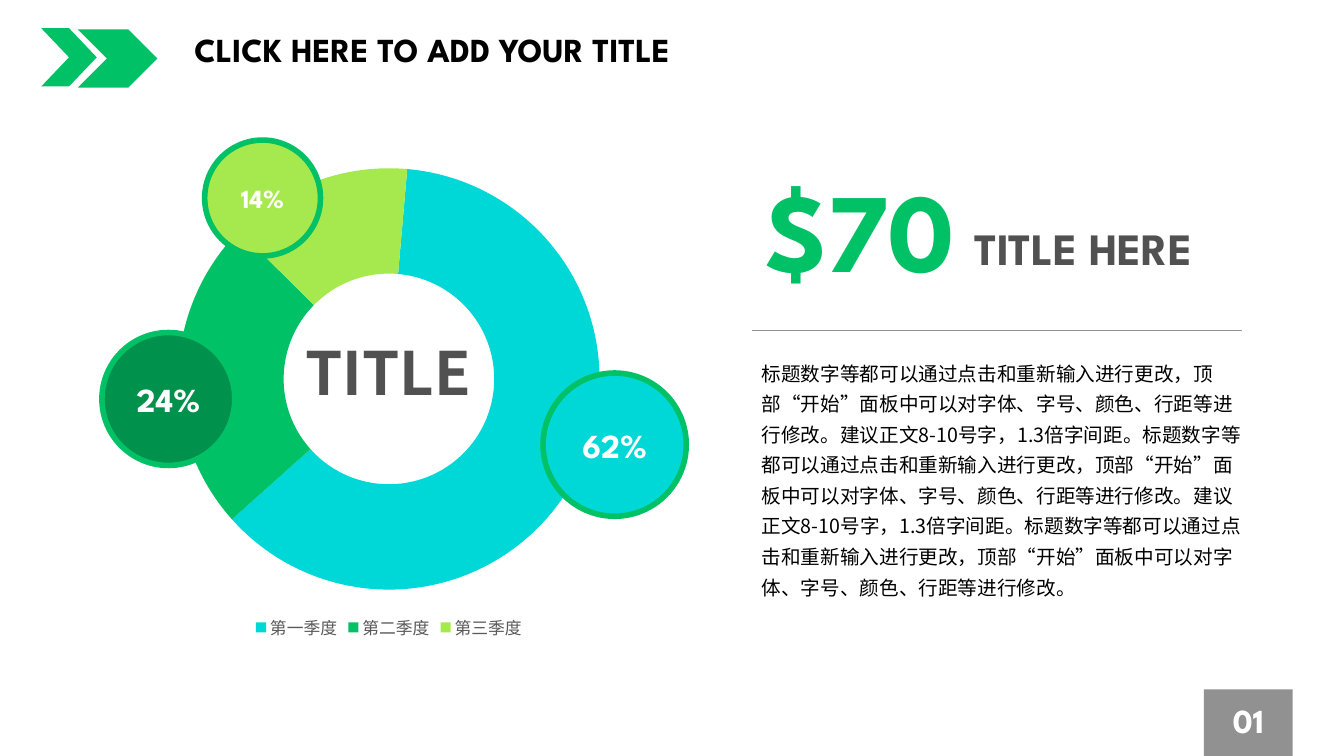
from lxml import etree
from pptx import Presentation
from pptx.chart.data import CategoryChartData
from pptx.dml.color import RGBColor
from pptx.enum.chart import XL_CHART_TYPE as ChartType, XL_LEGEND_POSITION as LegendPosition
from pptx.enum.lang import MSO_LANGUAGE_ID as Language
from pptx.enum.shapes import MSO_CONNECTOR as Connector, MSO_SHAPE as Shape
from pptx.enum.text import MSO_ANCHOR as Anchor, PP_ALIGN as Align
from pptx.oxml.ns import qn
from pptx.util import Cm, Pt

LATIN, CHINESE = "League Spartan", "Noto Sans CJK SC"
GREEN, CYAN, LIME, DARK_GREEN = "00C165", "00D7D7", "A6E94E", "00914C"
GREY, DARK_GREY, WHITE, BLACK = "919191", "515151", "FFFFFF", "000000"

# name, value, slice colour
QUARTERS = [("第一季度", 62, CYAN), ("第二季度", 24, GREEN), ("第三季度", 14, LIME)]
# text, left, top, diameter, fill, text size
BADGES = [
    ("62%", 13.69, 9.4, 3.61, CYAN, 24),
    ("24%", 2.57, 8.38, 3.35, DARK_GREEN, 24),
    ("14%", 5.16, 3.53, 2.92, LIME, 18.7),
]
# left, top, width, height
CHEVRONS = [(1.04, 0.71, 1.4, 1.47), (1.96, 0.74, 2.01, 1.47)]
ADVICE = (
    "标题数字等都可以通过点击和重新输入进行更改，"
    "顶部“开始”面板中可以对字体、字号、颜色、行距等进行修改。"
)
SPACING_ADVICE = "建议正文8-10号字，1.3倍字间距。"
BODY = (ADVICE + SPACING_ADVICE) * 2 + ADVICE
# text, box, size, colour, font, bold, alignment, anchor, line spacing
TEXTS = [
    ("CLICK HERE TO ADD YOUR TITLE", (4.65, 0.71, 13.51, 1.47), 24, BLACK, LATIN, True,
     Align.LEFT, Anchor.TOP, 0.9),
    ("TITLE", (6.96, 8.33, 5.66, 2.08), 42.7, DARK_GREY, CHINESE, True,
     Align.CENTER, Anchor.TOP, 1),
    ("$70", (18.36, 3.91, 5.97, 3.68), 80, GREEN, LATIN, True,
     Align.RIGHT, Anchor.MIDDLE, 1),
    ("TITLE HERE", (24.31, 5.44, 7.34, 1.63), 32, DARK_GREY, LATIN, True,
     Align.LEFT, Anchor.TOP, 1),
    (BODY, (18.95, 8.81, 12.7, 6.4), 14, BLACK, CHINESE, False,
     Align.LEFT, Anchor.TOP, 1.3),
]


def color(hex_string):
    return RGBColor.from_string(hex_string)


def lengths(box):
    return [Cm(value) for value in box]


def write(shape, text, size, text_color, font=LATIN, bold=True,
          align=Align.CENTER, anchor=Anchor.MIDDLE, spacing=1):
    frame = shape.text_frame
    frame.word_wrap = True
    frame.vertical_anchor = anchor
    paragraph = frame.paragraphs[0]
    paragraph.alignment = align
    paragraph.line_spacing = spacing
    run = paragraph.add_run()
    run.text = text
    run.font.size = Pt(size)
    run.font.bold = bold
    run.font.color.rgb = color(text_color)
    run.font.name = font
    if font == CHINESE:
        run.font.language_id = Language.SIMPLIFIED_CHINESE
        east_asian = etree.SubElement(run.font._element, qn("a:ea"))
        east_asian.set("typeface", font)


def add_filled(slide, kind, box, fill, line=None):
    shape = slide.shapes.add_shape(kind, *lengths(box))
    shape.shadow.inherit = False
    shape.fill.solid()
    shape.fill.fore_color.rgb = color(fill)
    if line:
        shape.line.color.rgb = color(line)
        shape.line.width = Pt(4)
    else:
        shape.line.fill.background()
    return shape


def add_doughnut(slide, box):
    data = CategoryChartData()
    data.categories = [name for name, _, _ in QUARTERS]
    data.add_series("Series 1", [value for _, value, _ in QUARTERS])
    chart = slide.shapes.add_chart(ChartType.DOUGHNUT, *lengths(box), data).chart
    chart.has_title = False
    chart.font.size = Pt(10)
    chart.font.name = LATIN
    chart.font.color.rgb = color(BLACK)
    chart.has_legend = True
    legend = chart.legend
    legend.position = LegendPosition.BOTTOM
    legend.include_in_layout = False
    legend.font.size = Pt(12)
    legend.font.name = CHINESE
    legend.font.color.rgb = color("595959")
    plot = chart.plots[0]
    plot.vary_by_categories = True
    for index, (_, _, fill) in enumerate(QUARTERS):
        point_format = plot.series[0].points[index].format
        point_format.fill.solid()
        point_format.fill.fore_color.rgb = color(fill)
        point_format.line.fill.background()
    for tag, value in (("c:firstSliceAng", "5"), ("c:holeSize", "64")):
        chart._chartSpace.find(".//" + qn(tag)).set("val", value)


def main():
    presentation = Presentation()
    presentation.slide_width, presentation.slide_height = Cm(33.88), Cm(19.05)
    slide = presentation.slides.add_slide(presentation.slide_layouts[6])

    for box in CHEVRONS:
        add_filled(slide, Shape.CHEVRON, box, GREEN)
    page_number = add_filled(slide, Shape.RECTANGLE, (30.35, 17.37, 2.24, 1.68), GREY)
    write(page_number, "01", 24, WHITE, spacing=0.9)

    add_doughnut(slide, (0, 3.89, 19.61, 12.34))
    for text, left, top, diameter, fill, size in BADGES:
        badge = add_filled(slide, Shape.OVAL, (left, top, diameter, diameter), fill, GREEN)
        write(badge, text, size, WHITE)

    for text, box, *style in TEXTS:
        write(slide.shapes.add_textbox(*lengths(box)), text, *style)

    divider = slide.shapes.add_connector(
        Connector.STRAIGHT, *lengths((18.95, 8.33, 31.32, 8.33)))
    divider.line.color.rgb = color(GREY)
    divider.line.width = Pt(1.25)
    etree.SubElement(divider._element.spPr, qn("a:effectLst"))

    presentation.save("out.pptx")


if __name__ == "__main__":
    main()
